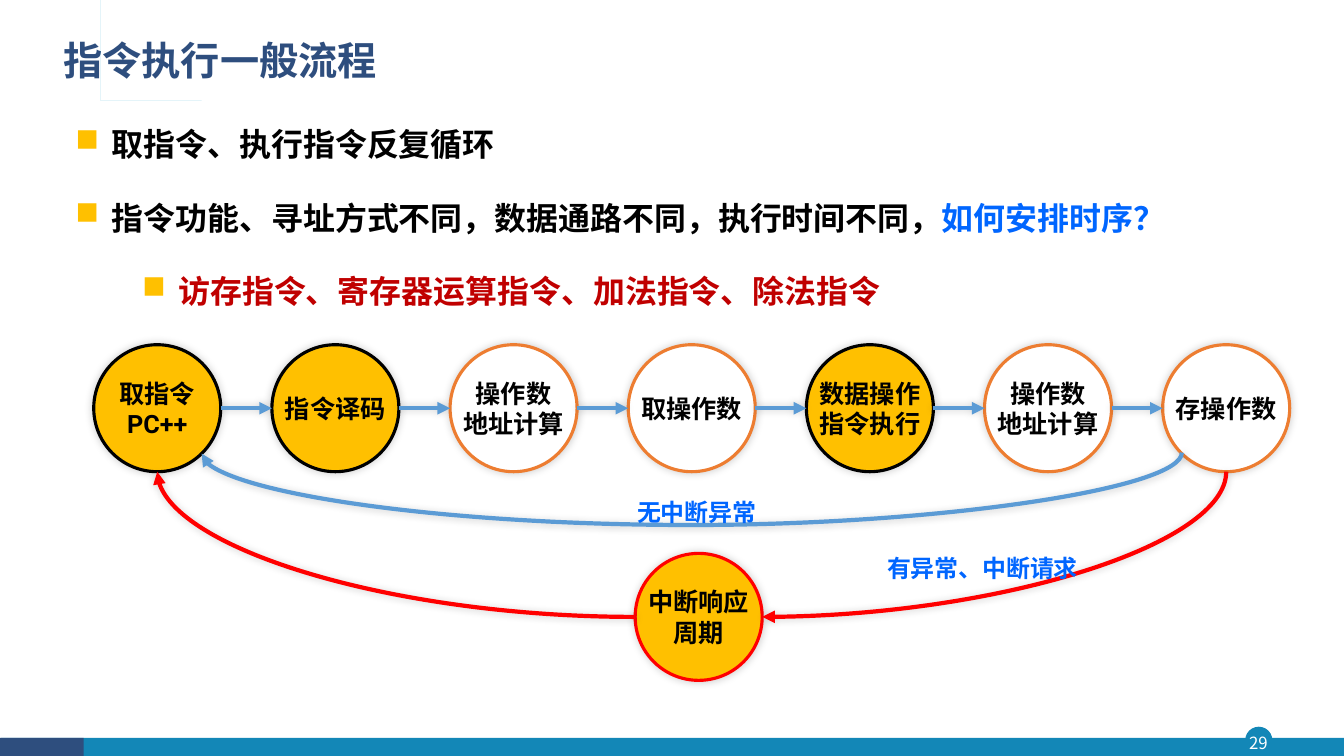
from lxml import etree
from pptx import Presentation
from pptx import util as u
from pptx.dml.color import RGBColor
from pptx.enum import shapes, text
from pptx.oxml import ns

WIDE, HIGH = 13.33, 7.5
THEME = {
    "sans": "Noto Sans CJK SC", "robo": "Roboto",
    "teal": "1387B7", "navy": "2E4E7E", "cyan": "28A9D6", "gold": "FFC000",
    "blue": "0066FF", "wine": "C00000", "sky": "5B9BD5", "rust": "ED7D31",
    "red": "FF0000", "ink": "000000", "white": "FFFFFF",
    "head": 28, "body": 22.8, "node": 18, "note": 17.1, "page": 12,
}
TITLE = "指令执行一般流程"
POINTS = [
    (0.36, [("取指令、执行指令反复循环", "ink")]),
    (0.36, [("指令功能、寻址方式不同，数据通路不同，执行时间不同，", "ink"),
            ("如何安排时序？", "blue")]),
    (1.02, [("访存指令、寄存器运算指令、加法指令、除法指令", "wine")]),
]
STEPS = [
    ("取指令\nPC++", "gold", "ink"),
    ("指令译码", "gold", "ink"),
    ("操作数\n地址计算", "white", "rust"),
    ("取操作数", "white", "rust"),
    ("数据操作\n指令执行", "gold", "ink"),
    ("操作数\n地址计算", "white", "rust"),
    ("存操作数", "white", "rust"),
]
BREAK = ("中断响应\n周期", "gold", "red")
NOTES = [("无中断异常", (6.22, 4.74, 1.4, 0.53)),
         ("有异常、中断请求", (8.7, 5.3, 2.12, 0.53))]
BARS = [("OVAL", (12.35, 7.21, 0.27, 0.27), "teal"),
        ("RECTANGLE", (0.01, 7.32, 13.32, 0.19), "teal"),
        ("RECTANGLE", (0, 7.32, 0.83, 0.19), "navy")]
MARK = [(0.54, 0.39), (0.54, 0.85), (1.87, 0.85), (1.87, 0.87), (0.52, 0.87),
        (0.52, 0.41), (0.47, 0.41), (0.47, 0.87), (0.36, 0.87), (0.36, 0.39),
        (0.39, 0.39), (0.39, 0.84), (0.44, 0.84), (0.44, 0.39)]
SIZE, LEFT, TOP, STEP = 1.26, 0.93, 3.42, 1.767
LOW = (6.3, 5.49)
INSET = 0.19

deck = Presentation()
deck.slide_width, deck.slide_height = u.Inches(WIDE), u.Inches(HIGH)
slide = deck.slides.add_slide(deck.slide_layouts[5])


def inch(vals):
    return [u.Inches(v) for v in vals]


def rgb(name):
    return RGBColor.from_string(THEME[name])


def node(base, tag, **atts):
    item = etree.SubElement(base, ns.qn(tag))
    for key, val in atts.items():
        item.set(key, str(val))
    return item


def style(run, face, size, hue, bold=True):
    run.font.name = THEME[face]
    run.font.size = u.Pt(THEME[size])
    run.font.bold = bold
    run.font.color.rgb = rgb(hue)


def shade(part):
    props = part._element.spPr
    for old in props.findall(ns.qn("a:effectLst")):
        props.remove(old)
    drop = node(node(props, "a:effectLst"), "a:outerShdw", blurRad=u.Pt(6),
                dist=0, dir=315 * 60000, algn="ctr", rotWithShape=0)
    node(node(drop, "a:srgbClr", val=THEME["ink"]), "a:alpha", val=20000)


def solid(part, fill, edge=None, wide=1):
    part.shadow.inherit = False
    part.fill.solid()
    part.fill.fore_color.rgb = rgb(fill)
    if edge:
        part.line.color.rgb = rgb(edge)
        part.line.width = u.Pt(wide)
    else:
        part.line.fill.background()


def ring(spot, words, fill, edge):
    part = slide.shapes.add_shape(shapes.MSO_SHAPE.OVAL, *inch((*spot, SIZE, SIZE)))
    solid(part, fill, edge, 2.25)
    shade(part)
    frame = part.text_frame
    frame.text = words
    frame.word_wrap = False
    frame.vertical_anchor = text.MSO_ANCHOR.MIDDLE
    for para in frame.paragraphs:
        para.alignment = text.PP_ALIGN.CENTER
        for run in para.runs:
            style(run, "robo", "node", "ink")


def arrow(kind, ends, hue):
    part = slide.shapes.add_connector(kind, *inch(ends))
    part.line.color.rgb = rgb(hue)
    part.line.width = u.Pt(3)
    node(part.line._get_or_add_ln(), "a:tailEnd", type="triangle")
    shade(part)
    return part


def curve(start, end, turn, form, hue, bend=None):
    midx, midy = (start[0] + end[0]) / 2, (start[1] + end[1]) / 2
    wide, high = abs(end[0] - start[0]), abs(end[1] - start[1])
    if turn == 90:
        wide, high = high, wide
    ends = (midx - wide / 2, midy - high / 2, midx + wide / 2, midy + high / 2)
    part = arrow(shapes.MSO_CONNECTOR.CURVE, ends, hue)
    props = part._element.spPr
    props.find(ns.qn("a:xfrm")).set("rot", str(turn * 60000))
    geom = props.find(ns.qn("a:prstGeom"))
    geom.set("prst", form)
    if bend:
        rule = geom.find(ns.qn("a:avLst"))
        node(rule, "a:gd", name="adj1", fmla=f"val {round(bend / wide * 100000)}")


def label(words, box, face, size, hue, bold=True):
    part = slide.shapes.add_textbox(*inch(box))
    frame = part.text_frame
    frame.text = words
    frame.word_wrap = False
    style(frame.paragraphs[0].runs[0], face, size, hue, bold)
    return frame


for form, box, hue in BARS:
    bar = slide.shapes.add_shape(shapes.MSO_SHAPE[form], *inch(box))
    solid(bar, hue)
page = label("29", (12.32, 7.21, 0.32, 0.31), "sans", "page", "white", False)
page.margin_left = page.margin_right = page.margin_top = page.margin_bottom = 0
page.vertical_anchor = text.MSO_ANCHOR.MIDDLE
page.paragraphs[0].alignment = text.PP_ALIGN.CENTER

pen = slide.shapes.build_freeform(*MARK[0], scale=u.Inches(1))
pen.add_line_segments(MARK[1:])
solid(pen.convert_to_shape(), "cyan")

title = slide.shapes.title
title.left, title.top, title.width, title.height = inch((0.53, 0.28, 11.5, 0.68))
title.text_frame.text = TITLE
title.text_frame.vertical_anchor = text.MSO_ANCHOR.MIDDLE
head = title.text_frame.paragraphs[0]
head.alignment, head.line_spacing = text.PP_ALIGN.LEFT, 0.9
style(head.runs[0], "sans", "head", "navy")

body = slide.shapes.add_textbox(*inch((0.65, 1, 11.82, 2.16))).text_frame
body.word_wrap = True
for row, (pad, parts) in enumerate(POINTS):
    para = body.add_paragraph() if row else body.paragraphs[0]
    props = para._p.get_or_add_pPr()
    props.set("marL", str(u.Inches(pad)))
    props.set("indent", str(-u.Inches(0.36)))
    node(node(props, "a:buClr"), "a:srgbClr", val=THEME["gold"])
    node(props, "a:buChar", char="■")
    para.level = int(pad > 1)
    para.line_spacing = 1.5
    para.space_before, para.space_after = u.Pt(5.7 if row else 0), u.Pt(5.7)
    for words, hue in parts:
        run = para.add_run()
        run.text = words
        style(run, "sans", "body", hue)

mid = TOP + SIZE / 2
spots = [LEFT + STEP * col for col in range(len(STEPS))]
for spot, step in zip(spots, STEPS):
    ring((spot, TOP), *step)
for spot, goal in zip(spots, spots[1:]):
    arrow(shapes.MSO_CONNECTOR.STRAIGHT, (spot + SIZE, mid, goal, mid), "sky")

base, side = TOP + SIZE, LOW[1] + SIZE / 2
first, last = spots[0] + SIZE / 2, spots[-1] + SIZE / 2
curve((spots[-1] + INSET, base - INSET), (spots[0] + SIZE - INSET, base - INSET + 0.01),
      90, "curvedConnector3", "sky", 0.73)
ring(LOW, *BREAK)
curve((last, base), (LOW[0] + SIZE, side), 90, "curvedConnector2", "red")
curve((LOW[0], side), (first, base), 180, "curvedConnector2", "red")
for words, box in NOTES:
    para = label(words, box, "robo", "note", "blue").paragraphs[0]
    para.line_spacing, para.space_after = 1.5, u.Pt(5.7)

deck.save("out.pptx")
